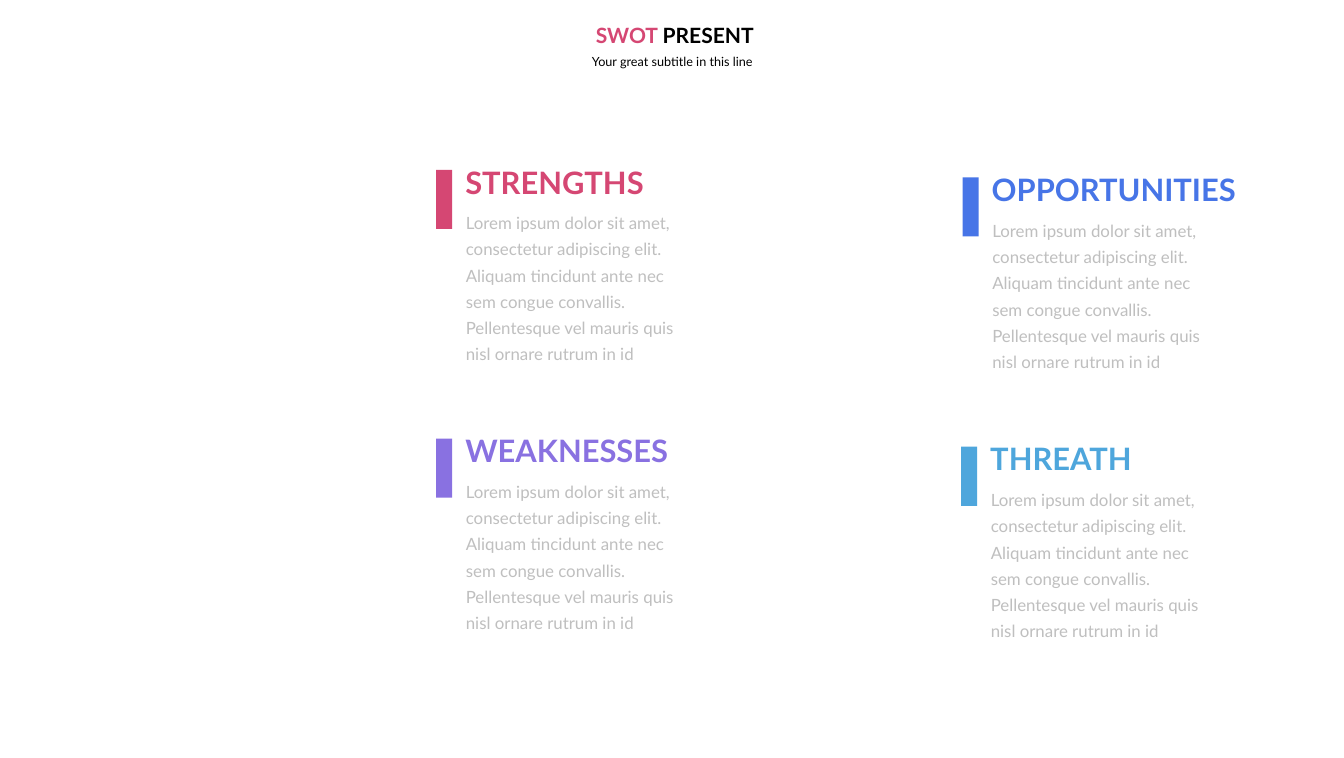
from pptx import Presentation
from pptx.dml.color import RGBColor
from pptx.enum.shapes import MSO_SHAPE
from pptx.enum.text import MSO_ANCHOR, MSO_AUTO_SIZE, PP_ALIGN
from pptx.util import Inches, Pt

RECTANGLE = MSO_SHAPE.RECTANGLE
LEFT, CENTER = PP_ALIGN.LEFT, PP_ALIGN.CENTER
TOP, MIDDLE = MSO_ANCHOR.TOP, MSO_ANCHOR.MIDDLE
GROW = MSO_AUTO_SIZE.SHAPE_TO_FIT_TEXT

COLORS = {
    "pink": "D54773",
    "purple": "8971E1",
    "blue": "4775E7",
    "sky": "4EA6DC",
    "gray": "BFBFBF",
    "black": "000000",
}
FONT = "Lato"
BODY = (
    "Lorem ipsum dolor sit amet, consectetur adipiscing elit. "
    "Aliquam tincidunt ante nec sem congue convallis. "
    "Pellentesque vel mauris quis nisl ornare rutrum in id"
)


def add_text(box, runs, size, bold=False, align=LEFT, anchor=TOP,
             margins=(0.1, 0.05), line_spacing=None):
    """Add a text box at box (inches) with one paragraph of (text, color) runs."""
    frame = slide.shapes.add_textbox(*map(Inches, box)).text_frame
    frame.word_wrap = True
    frame.auto_size = GROW
    frame.vertical_anchor = anchor
    frame.margin_left = frame.margin_right = Inches(margins[0])
    frame.margin_top = frame.margin_bottom = Inches(margins[1])
    paragraph = frame.paragraphs[0]
    paragraph.alignment = align
    paragraph.line_spacing = line_spacing
    for text, color in runs:
        run = paragraph.add_run()
        run.text = text
        run.font.name = FONT
        run.font.size = Pt(size)
        run.font.bold = bold
        run.font.color.rgb = RGBColor.from_string(COLORS[color])


presentation = Presentation()
presentation.slide_width = Inches(26.6)
presentation.slide_height = Inches(15)
slide = presentation.slides.add_slide(presentation.slide_layouts[6])

# Title and subtitle
add_text((9.22, 0.95, 8.17, 0.55), [("Your great subtitle in this line", "black")],
         18, align=CENTER, margins=(0.24, 0.12))
add_text((8.3, 0.34, 10.11, 0.71), [("SWOT ", "pink"), ("PRESENT", "black")],
         30, bold=True, align=CENTER, margins=(0.2, 0.1))

# Four sections, placed by the corner of the heading
sections = [
    ("STRENGTHS", "pink", 9.11, 3.18),
    ("WEAKNESSES", "purple", 9.11, 8.5),
    ("OPPORTUNITIES", "blue", 19.53, 3.33),
    ("THREATH", "sky", 19.5, 8.66),
]
for heading, color, left, top in sections:
    add_text((left - 0.16, top + 0.76, 4.8, 3.42), [(BODY, "gray")], 24,
             anchor=MIDDLE, margins=(0.27, 0.13), line_spacing=1.3)
    add_text((left, top, 5.52, 0.84), [(heading, color)], 44, bold=True)

    # Accent bar
    bar = slide.shapes.add_shape(RECTANGLE, Inches(left - 0.48), Inches(top + 0.18),
                                 Inches(0.32), Inches(1.17))
    bar.shadow.inherit = False
    bar.fill.solid()
    bar.fill.fore_color.rgb = RGBColor.from_string(COLORS[color])
    bar.line.fill.background()

presentation.save("out.pptx")
